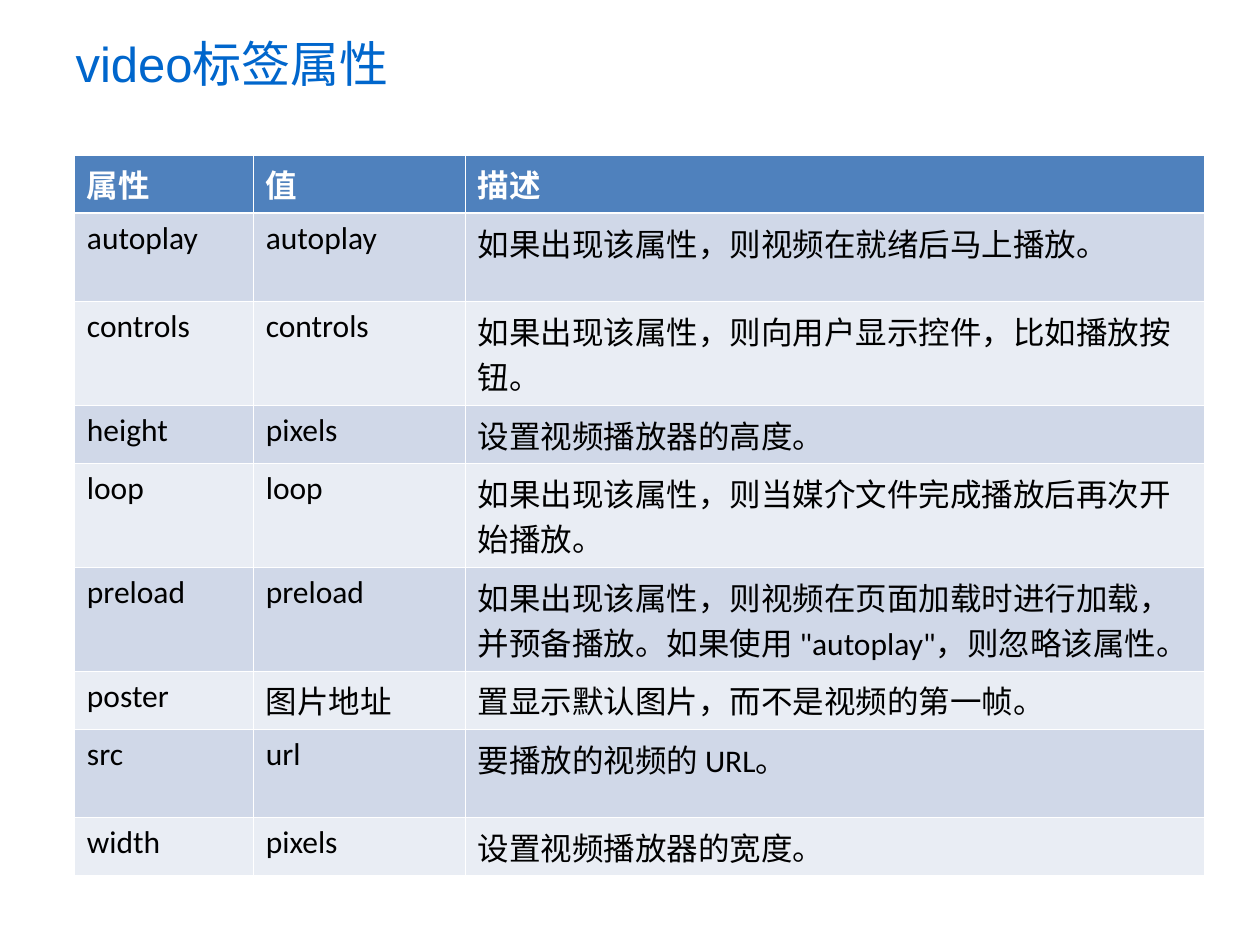
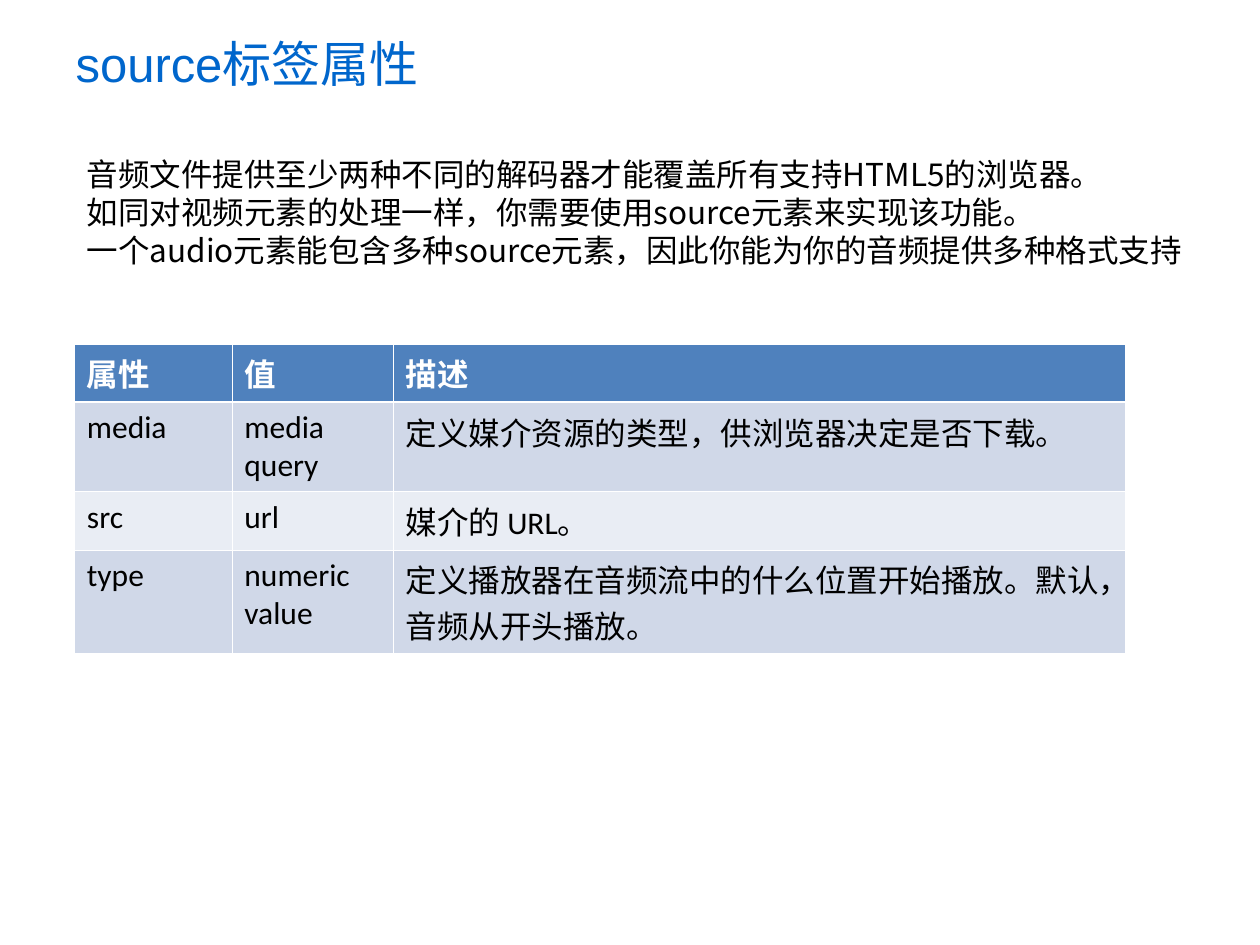
"""Build two slides describing the attributes of the video and source tags."""
import lxml.etree
import pptx
import pptx.dml.color
import pptx.enum.text
import pptx.oxml.ns
import pptx.util

HEADER = ("属性", "值", "描述")
SLIDES = [
    {
        "title": "video标签属性",
        "intro": [],
        "table_top": 1.23,
        "columns": (1.42, 1.68, 5.87),
        "rows": [
            (0.4, HEADER),
            (0.7, ("autoplay", "autoplay", "如果出现该属性，则视频在就绪后马上播放。")),
            (0.7, ("controls", "controls", "如果出现该属性，则向用户显示控件，比如播放按钮。")),
            (0.4, ("height", "pixels", "设置视频播放器的高度。")),
            (0.8, ("loop", "loop", "如果出现该属性，则当媒介文件完成播放后再次开始播放。")),
            (0.77, ("preload", "preload",
                    "如果出现该属性，则视频在页面加载时进行加载，并预备播放。"
                    "如果使用 \"autoplay\"，则忽略该属性。")),
            (0.4, ("poster", "图片地址", "置显示默认图片，而不是视频的第一帧。")),
            (0.7, ("src", "url", "要播放的视频的 URL。")),
            (0.4, ("width", "pixels", "设置视频播放器的宽度。")),
        ],
    },
    {
        "title": "source标签属性",
        "intro": [
            "音频文件提供至少两种不同的解码器才能覆盖所有支持HTML5的浏览器。",
            "如同对视频元素的处理一样，你需要使用source元素来实现该功能。",
            "一个audio元素能包含多种source元素，因此你能为你的音频提供多种格式支持",
        ],
        "table_top": 2.73,
        "columns": (1.25, 1.28, 5.81),
        "rows": [
            (0.42, HEADER),
            (0.7, ("media", "media query", "定义媒介资源的类型，供浏览器决定是否下载。")),
            (0.4, ("src", "url", "媒介的 URL。")),
            (0.7, ("type", "numeric value",
                   "定义播放器在音频流中的什么位置开始播放。默认，音频从开头播放。")),
        ],
    },
]

COLOURS = {"title": "0066CC", "header": "4F81BD", "odd": "D0D8E8",
           "even": "E9EDF4", "white": "FFFFFF", "black": "000000"}
CHINESE_FONT = "Noto Sans CJK SC"
LEFT = 0.59
TITLE_BOX = (0.5, 0, 7.65, 1)
INTRO_BOX = (LEFT, 1.15, 8.92, 1.3)
THIN, THICK = 0.45, 1.47


def colour(name):
    """Return the named colour."""
    return pptx.dml.color.RGBColor.from_string(COLOURS[name])


def inches(lengths):
    """Convert lengths in inches."""
    return [pptx.util.Inches(length) for length in lengths]


def write(frame, lines, font="Calibri", size=18, ink="black", bold=False, spacing=None):
    """Write lines as formatted paragraphs of a text frame."""
    frame.word_wrap = True
    for index, line in enumerate(lines):
        paragraph = frame.add_paragraph() if index else frame.paragraphs[0]
        paragraph.alignment = pptx.enum.text.PP_ALIGN.LEFT
        if spacing:
            paragraph.line_spacing = pptx.util.Pt(spacing)
        run = paragraph.add_run()
        run.text = line
        run.font.size = pptx.util.Pt(size)
        run.font.bold = bold
        run.font.color.rgb = colour(ink)
        run.font.name = font
        east_asian = lxml.etree.SubElement(run.font._element, pptx.oxml.ns.qn("a:ea"))
        east_asian.set("typeface", CHINESE_FONT)


def set_borders(cell, top, bottom):
    """Draw white lines around a cell."""
    properties = cell._tc.get_or_add_tcPr()
    widths = {"a:lnL": THIN, "a:lnR": THIN, "a:lnT": top, "a:lnB": bottom}
    for index, (tag, width) in enumerate(widths.items()):
        line = lxml.etree.Element(pptx.oxml.ns.qn(tag), w=str(pptx.util.Pt(width)))
        fill = lxml.etree.SubElement(line, pptx.oxml.ns.qn("a:solidFill"))
        lxml.etree.SubElement(fill, pptx.oxml.ns.qn("a:srgbClr"), val=COLOURS["white"])
        properties.insert(index, line)


def add_attribute_table(slide, top, columns, rows):
    """Add the table of attributes with a header and alternating bands."""
    heights = [height for height, _ in rows]
    box = inches((LEFT, top, sum(columns), sum(heights)))
    table = slide.shapes.add_table(len(rows), len(columns), *box).table
    for column, width in zip(table.columns, inches(columns)):
        column.width = width
    for row_index, (height, texts) in enumerate(rows):
        table.rows[row_index].height = pptx.util.Inches(height)
        header = row_index == 0
        band = "header" if header else ("even", "odd")[row_index % 2]
        for cell, text in zip(table.rows[row_index].cells, texts):
            write(cell.text_frame, [text], ink="white" if header else "black", bold=header)
            cell.fill.solid()
            cell.fill.fore_color.rgb = colour(band)
            set_borders(cell, THICK if row_index == 1 else THIN, THICK if header else THIN)


def add_title(slide, text):
    """Place and format the slide title."""
    title = slide.shapes.title
    title.left, title.top, title.width, title.height = inches(TITLE_BOX)
    title.text_frame.vertical_anchor = pptx.enum.text.MSO_ANCHOR.MIDDLE
    title.text_frame.auto_size = pptx.enum.text.MSO_AUTO_SIZE.NONE
    write(title.text_frame, [text], font="Arial", size=28, ink="title")


def add_intro(slide, lines):
    """Add the introductory paragraphs."""
    frame = slide.shapes.add_textbox(*inches(INTRO_BOX)).text_frame
    frame.margin_top = pptx.util.Inches(0.08)
    write(frame, lines, font=CHINESE_FONT, spacing=21.6)


def main():
    """Build and save the presentation."""
    presentation = pptx.Presentation()
    presentation.slide_width, presentation.slide_height = inches((10, 7.5))
    for content in SLIDES:
        slide = presentation.slides.add_slide(presentation.slide_layouts.get_by_name("Title Only"))
        add_title(slide, content["title"])
        add_attribute_table(slide, content["table_top"], content["columns"], content["rows"])
        if content["intro"]:
            add_intro(slide, content["intro"])
    presentation.save("out.pptx")


if __name__ == "__main__":
    main()
